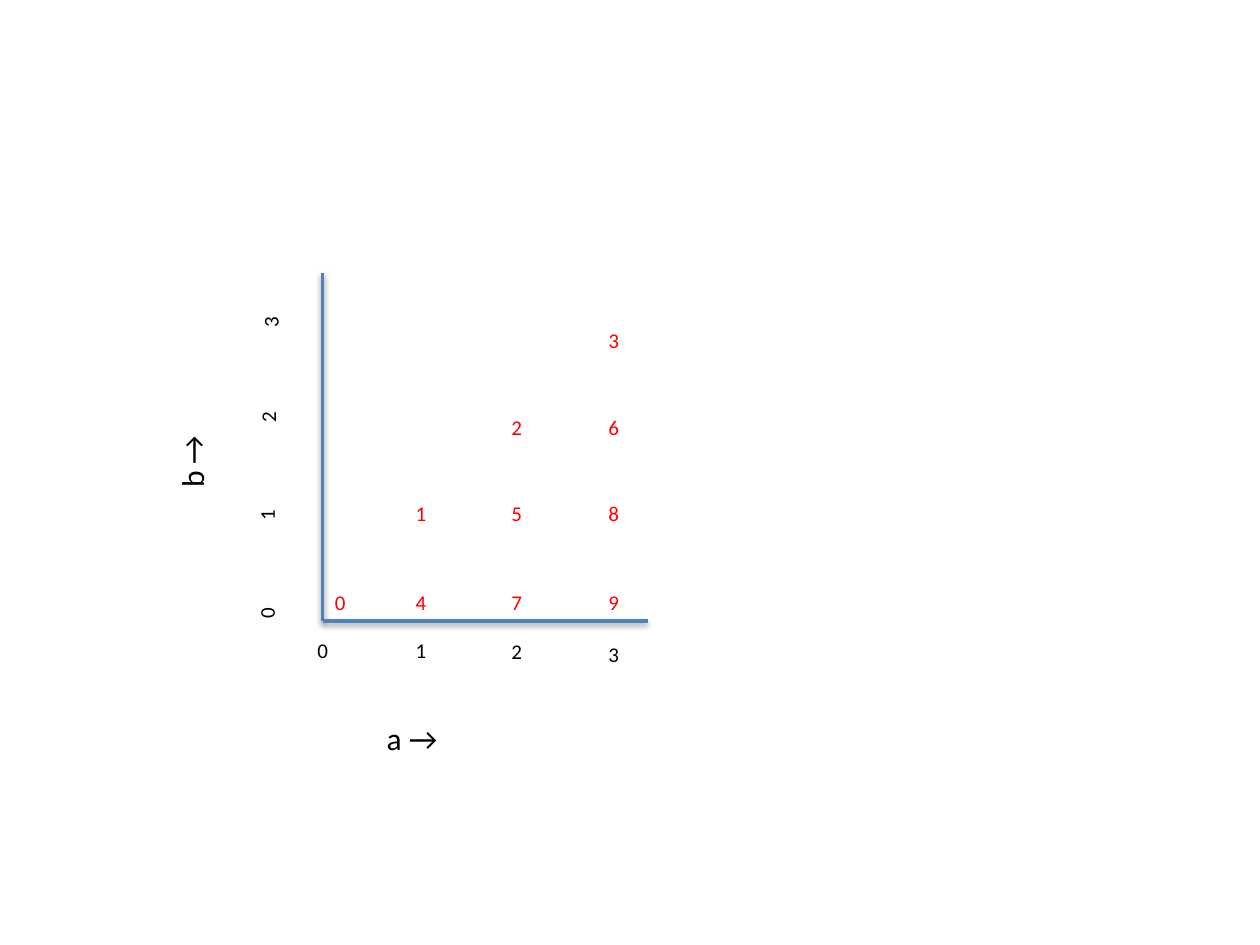
import dataclasses

import lxml.etree
import pptx
import pptx.dml.color
import pptx.enum.shapes
import pptx.enum.text
import pptx.oxml
import pptx.oxml.ns
import pptx.util

Inches = pptx.util.Inches
BLACK = pptx.dml.color.RGBColor(0x00, 0x00, 0x00)
RED = pptx.dml.color.RGBColor(0xFF, 0x00, 0x00)
BLUE = pptx.dml.color.RGBColor(0x4F, 0x81, 0xBD)

AXIS_SHADOW = (
    f'<a:effectLst {pptx.oxml.ns.nsdecls("a")}>'
    '<a:outerShdw blurRad="40000" dist="20000" dir="5400000" rotWithShape="0">'
    '<a:srgbClr val="000000"><a:alpha val="38000"/></a:srgbClr>'
    "</a:outerShdw></a:effectLst>"
)


@dataclasses.dataclass(frozen=True)
class Label:
    text: str
    left: float
    top: float
    width: float = 0.29
    height: float = 0.3


ORIGIN = (2.56, 4.93)
AXIS_ENDS = [(2.56, 2.17), (5.14, 4.93)]

COLUMNS = [2.56, 3.2, 3.96, 4.73]
HORIZONTAL_TICKS = [
    Label(str(number), left, top)
    for number, (left, top) in enumerate(
        zip([2.42, *COLUMNS[1:]], [5.01, 5.01, 5.02, 5.04])
    )
]
VERTICAL_TICKS = [
    Label(str(number), left, top)
    for number, (left, top) in enumerate(
        zip([1.97, 1.97, 1.98, 2], [4.71, 3.93, 3.16, 2.4])
    )
]

# Each row of values ends at the last column; the diagonal value comes first
VALUE_ROWS = [(4.63, "0479"), (3.92, "158"), (3.24, "26"), (2.55, "3")]


def add_axis(page, end: tuple[float, float]) -> None:
    points = [Inches(length) for length in (*ORIGIN, *end)]
    axis = page.shapes.add_connector(
        pptx.enum.shapes.MSO_CONNECTOR.STRAIGHT, *points
    )
    axis.line.color.rgb = BLUE
    axis.line.width = pptx.util.Pt(2)
    axis._element.spPr.append(pptx.oxml.parse_xml(AXIS_SHADOW))


def add_label(shapes, label: Label, *, size: float = 12,
              color: pptx.dml.color.RGBColor = BLACK, rotation: float = 0) -> None:
    box = shapes.add_textbox(
        Inches(label.left), Inches(label.top),
        Inches(label.width), Inches(label.height),
    )
    box.rotation = rotation
    frame = box.text_frame
    frame.word_wrap = False
    frame.auto_size = pptx.enum.text.MSO_AUTO_SIZE.SHAPE_TO_FIT_TEXT
    span = frame.paragraphs[0].add_run()
    span.text = label.text
    span.font.name = "Calibri"
    span.font.size = pptx.util.Pt(size)
    span.font.color.rgb = color


def main() -> None:
    deck = pptx.Presentation()
    deck.slide_width = Inches(10)
    deck.slide_height = Inches(7.5)
    page = deck.slides.add_slide(deck.slide_layouts[6])

    # Axes
    for end in AXIS_ENDS:
        add_axis(page, end)

    # Tick numbers, one group for each axis
    for ticks, rotation in [(HORIZONTAL_TICKS, 0), (VERTICAL_TICKS, 270)]:
        group = page.shapes.add_group_shape()
        for tick in ticks:
            add_label(group.shapes, tick, rotation=rotation)

    # Values of the triangle
    for top, values in VALUE_ROWS:
        for left, value in zip(COLUMNS[-len(values):], values):
            add_label(page.shapes, Label(value, left, top), color=RED)

    # Axis titles
    add_label(page.shapes, Label("a →", 2.97, 5.66, 0.61, 0.4), size=18)
    add_label(page.shapes, Label("b →", 1.21, 3.46, 0.62, 0.4), size=18, rotation=270)

    deck.save("out.pptx")


main()
